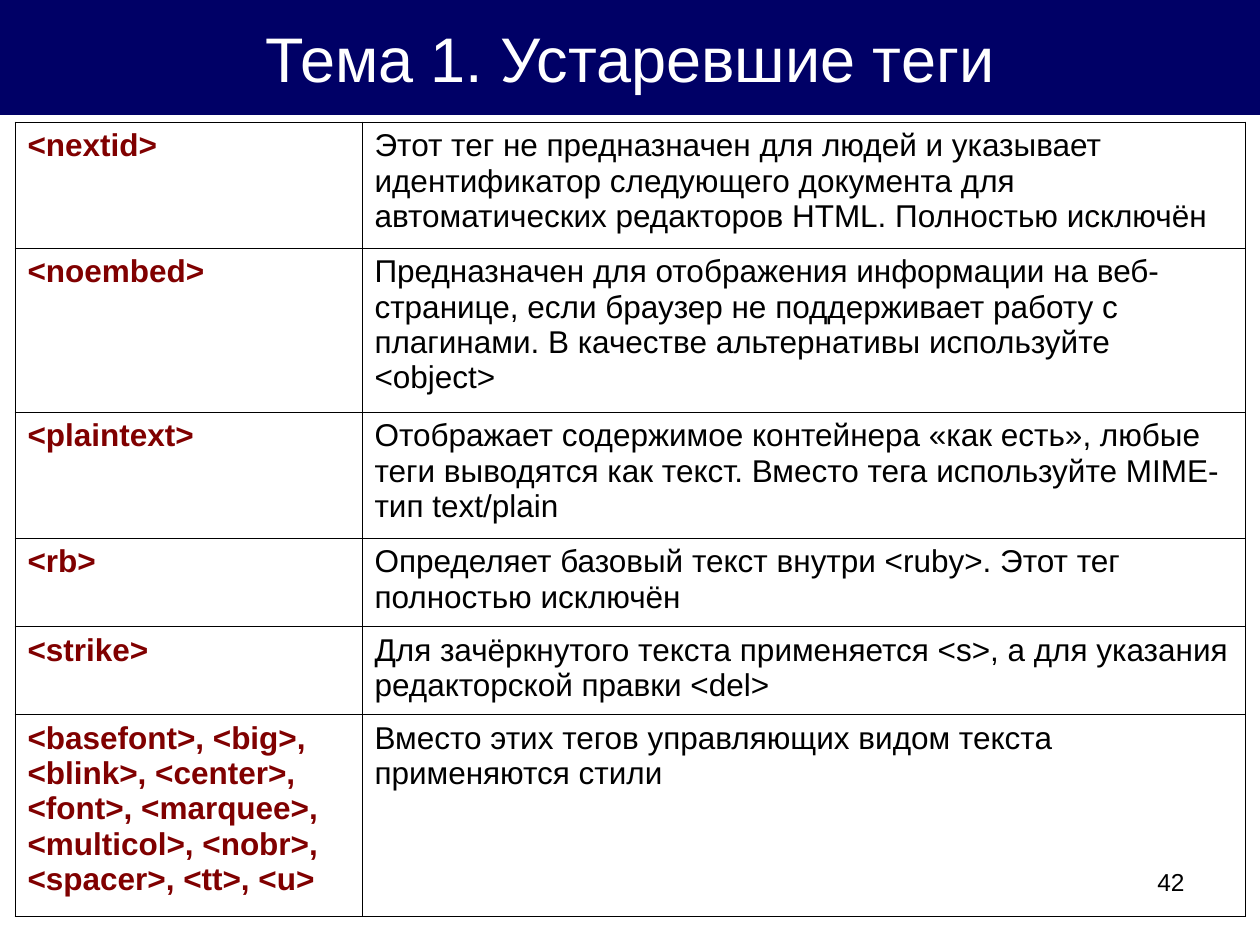
from lxml.etree import SubElement
from pptx import Presentation
from pptx.dml.color import RGBColor
from pptx.enum.text import MSO_ANCHOR as Anchor, MSO_AUTO_SIZE as AutoSize, PP_ALIGN as Align
from pptx.oxml.ns import qn
from pptx.util import Pt

PX_PER_INCH = 126
NAVY = RGBColor(0x00, 0x00, 0x66)
MAROON = RGBColor(0x80, 0x00, 0x00)
BLACK = RGBColor(0x00, 0x00, 0x00)
WHITE = RGBColor(0xFF, 0xFF, 0xFF)
FONT = "Arial"
BORDER = Pt(0.45)

COLUMN_WIDTHS = [347, 883]
TAGS = [
    (126, "<nextid>", "Этот тег не предназначен для людей и указывает идентификатор следующего "
     "документа для автоматических редакторов HTML. Полностью исключён"),
    (164, "<noembed>", "Предназначен для отображения информации на веб-странице, если браузер "
     "не поддерживает работу с плагинами. В качестве альтернативы используйте <object>"),
    (126, "<plaintext>", "Отображает содержимое контейнера «как есть», любые теги выводятся "
     "как текст. Вместо тега используйте MIME-тип text/plain"),
    (88, "<rb>", "Определяет базовый текст внутри <ruby>. Этот тег полностью исключён"),
    (88, "<strike>", "Для зачёркнутого текста применяется <s>, а для указания редакторской "
     "правки <del>"),
    (202, "<basefont>, <big>, <blink>, <center>, <font>, <marquee>, <multicol>, <nobr>, "
     "<spacer>, <tt>, <u>", "Вместо этих тегов управляющих видом текста применяются стили"),
]


def px(length):
    return round(length * 914400 / PX_PER_INCH)


def write(frame, text, size, color, align=Align.LEFT, bold=False):
    frame.word_wrap = True
    para = frame.paragraphs[0]
    para.alignment = align
    span = para.add_run()
    span.text = text
    span.font.name = FONT
    span.font.size = Pt(size)
    span.font.bold = bold
    span.font.color.rgb = color


def set_title(page, text):
    title = page.shapes.title
    title.left, title.top, title.width, title.height = px(0), px(0), px(1260), px(115)
    title.fill.solid()
    title.fill.fore_color.rgb = NAVY
    frame = title.text_frame
    frame.auto_size = AutoSize.NONE
    frame.vertical_anchor = Anchor.MIDDLE
    write(frame, text, 36, WHITE, Align.CENTER)


def add_page_number(page, number):
    box = page.shapes.add_textbox(px(903), px(861), px(294), px(65))
    write(box.text_frame, number, 14, BLACK, Align.RIGHT)


def set_borders(cell):
    props = cell._tc.get_or_add_tcPr()
    for position, side in enumerate(("lnL", "lnR", "lnT", "lnB")):
        line = SubElement(props, qn(f"a:{side}"), w=str(BORDER))
        fill = SubElement(line, qn("a:solidFill"))
        SubElement(fill, qn("a:srgbClr"), val=str(BLACK))
        props.insert(position, line)


def add_tag_table(page):
    height = sum(row_height for row_height, _, _ in TAGS)
    frame = page.shapes.add_table(len(TAGS), len(COLUMN_WIDTHS), px(15), px(122),
                                  px(sum(COLUMN_WIDTHS)), px(height))
    table = frame.table
    table.first_row = table.horz_banding = False
    for column, width in zip(table.columns, COLUMN_WIDTHS):
        column.width = px(width)
    for row, (row_height, tag, description) in zip(table.rows, TAGS):
        row.height = px(row_height)
        for cell, text, color, bold in zip(row.cells, (tag, description),
                                           (MAROON, BLACK), (True, False)):
            cell.fill.background()
            set_borders(cell)
            write(cell.text_frame, text, 18, color, bold=bold)


def main():
    deck = Presentation()
    deck.slide_width, deck.slide_height = px(1260), px(945)
    page = deck.slides.add_slide(deck.slide_layouts[5])
    add_page_number(page, "42")
    set_title(page, "Тема 1. Устаревшие теги")
    add_tag_table(page)
    deck.save("out.pptx")


if __name__ == "__main__":
    main()
